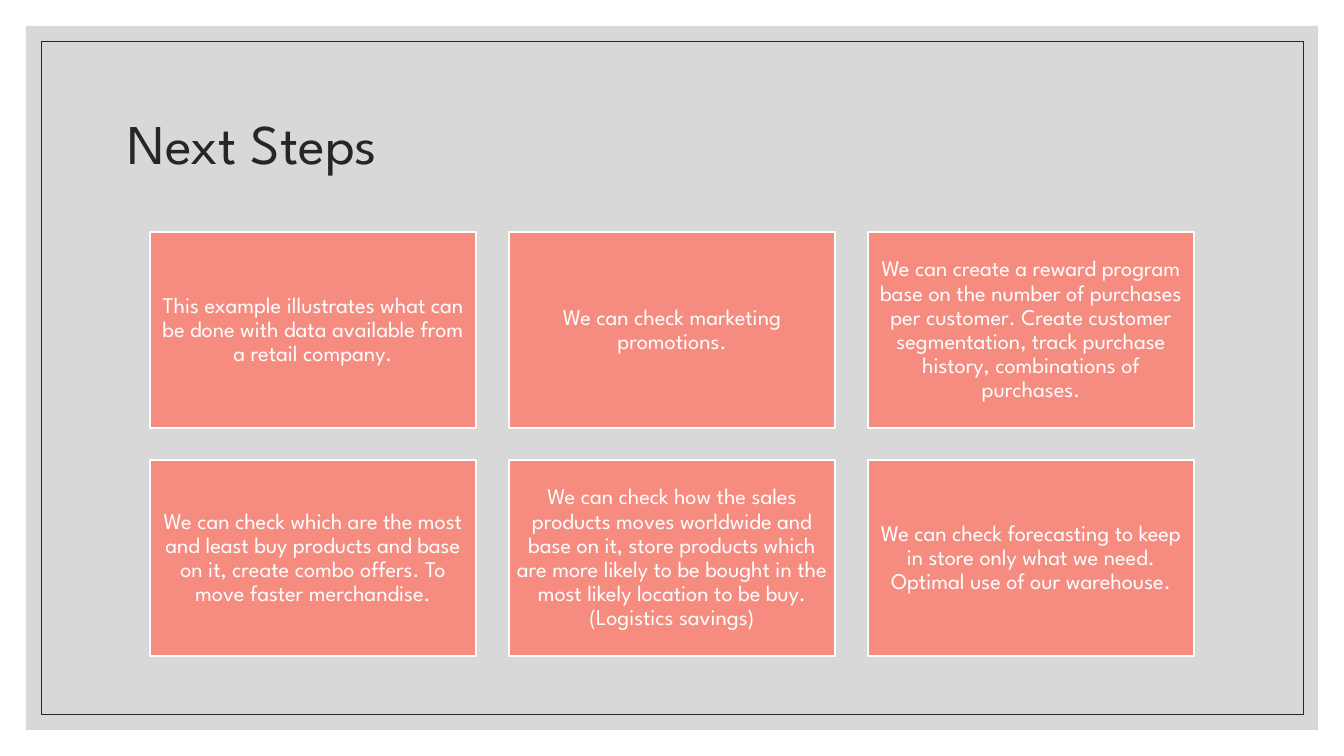
"""Build the Next Steps slide: a framed panel, a title and a grid of six cards."""
from lxml import etree
from pptx import Presentation
from pptx.dml.color import RGBColor
from pptx.enum.shapes import MSO_SHAPE
from pptx.enum.text import MSO_ANCHOR, PP_ALIGN
from pptx.oxml.ns import qn
from pptx.util import Emu, Pt

RECTANGLE = MSO_SHAPE.RECTANGLE
MIDDLE = MSO_ANCHOR.MIDDLE
LEFT, CENTER = PP_ALIGN.LEFT, PP_ALIGN.CENTER

EMU_PER_PIXEL = 914400 / 100.8
SLIDE_SIZE = (1344, 756)
FONT = "League Spartan"
COLORS = {"panel": "BFBFBF", "ink": "262626", "card": "F68C80", "white": "FFFFFF"}

STEPS = [
    "This example illustrates what can be done with data available from a retail company.",
    "We can check marketing promotions.",
    "We can create a reward program base on the number of purchases per customer. "
    "Create customer segmentation, track purchase history, combinations of purchases.",
    "We can check which are the most and least buy products and base on it, "
    "create combo offers. To move faster merchandise.",
    "We can check how the sales products moves worldwide and base on it, store products "
    "which are more likely to be bought in the most likely location to be buy. "
    "(Logistics savings)",
    "We can check forecasting to keep in store only what we need. "
    "Optimal use of our warehouse.",
]
COLUMNS = 3
CARD_LEFT, CARD_TOP = 150, 232
CARD_WIDTH, CARD_HEIGHT = 326, 196
COLUMN_STEP, ROW_STEP = 359, 228
CARD_INSET = 7


def px(pixels):
    return Emu(round(pixels * EMU_PER_PIXEL))


def rgb(color):
    return RGBColor.from_string(COLORS[color])


def set_all(target, values):
    for name, value in values.items():
        setattr(target, name, value)


class SlideBuilder:
    def __init__(self, slide, font):
        self.slide = slide
        self.font = font

    def rectangle(self, box, fill=None, line=None, line_width=1, opacity=None):
        shape = self.slide.shapes.add_shape(RECTANGLE, *map(px, box))
        shape.shadow.inherit = False
        if fill:
            shape.fill.solid()
            shape.fill.fore_color.rgb = rgb(fill)
        else:
            shape.fill.background()
        if line:
            shape.line.color.rgb = rgb(line)
            shape.line.width = Pt(line_width)
        else:
            shape.line.fill.background()
        if opacity is not None:
            tint = shape.element.spPr.find(".//" + qn("a:srgbClr"))
            etree.SubElement(tint, qn("a:alpha"), val=str(opacity * 1000))
        return shape

    def add_text(self, frame, text, size, color, align, space_after=0):
        set_all(frame, {"word_wrap": True, "vertical_anchor": MIDDLE})
        paragraph = frame.paragraphs[0]
        set_all(paragraph, {"alignment": align, "line_spacing": 0.9,
                            "space_after": Pt(space_after)})
        run = paragraph.add_run()
        run.text = text
        set_all(run.font, {"name": self.font, "size": Pt(size)})
        run.font.color.rgb = rgb(color)

    def title(self, box, text):
        frame = self.slide.shapes.add_textbox(*map(px, box)).text_frame
        self.add_text(frame, text, 40, "ink", LEFT)

    def card(self, box, text):
        frame = self.rectangle(box, "card", "white", 1.5).text_frame
        sides = ("left", "top", "right", "bottom")
        set_all(frame, {f"margin_{side}": px(CARD_INSET) for side in sides})
        self.add_text(frame, text, 16, "white", CENTER, 5.6)


presentation = Presentation()
presentation.slide_width, presentation.slide_height = map(px, SLIDE_SIZE)
next_steps = SlideBuilder(
    presentation.slides.add_slide(presentation.slide_layouts[6]), FONT)

next_steps.rectangle((26, 26, 1292, 704), fill="panel", opacity=60)
next_steps.rectangle((41, 41, 1262, 673), line="ink", line_width=0.5)
next_steps.title((118, 71, 1109, 151), "Next Steps")
for index, step in enumerate(STEPS):
    row, column = divmod(index, COLUMNS)
    next_steps.card((CARD_LEFT + column * COLUMN_STEP, CARD_TOP + row * ROW_STEP,
                     CARD_WIDTH, CARD_HEIGHT), step)

presentation.save("out.pptx")
